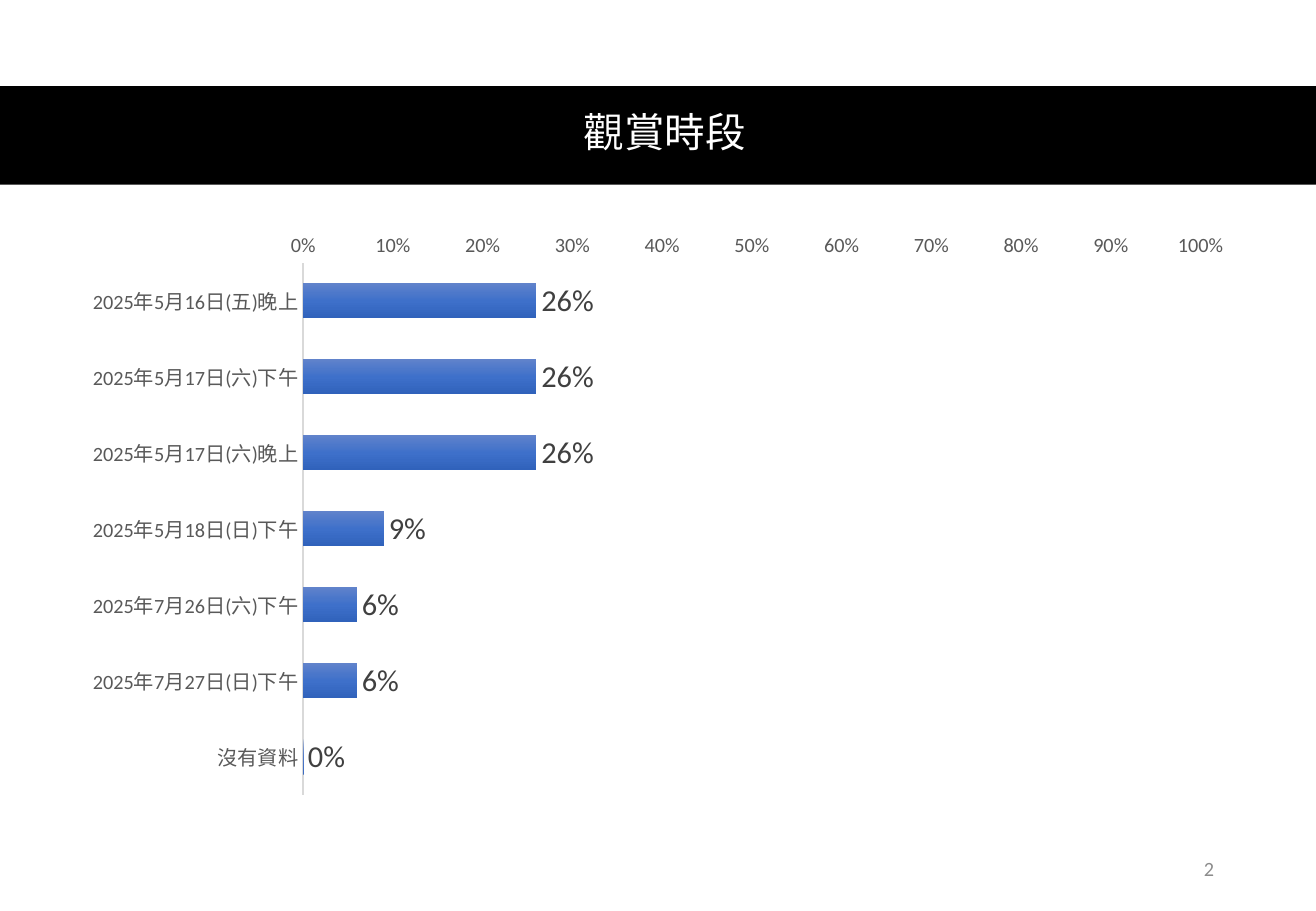
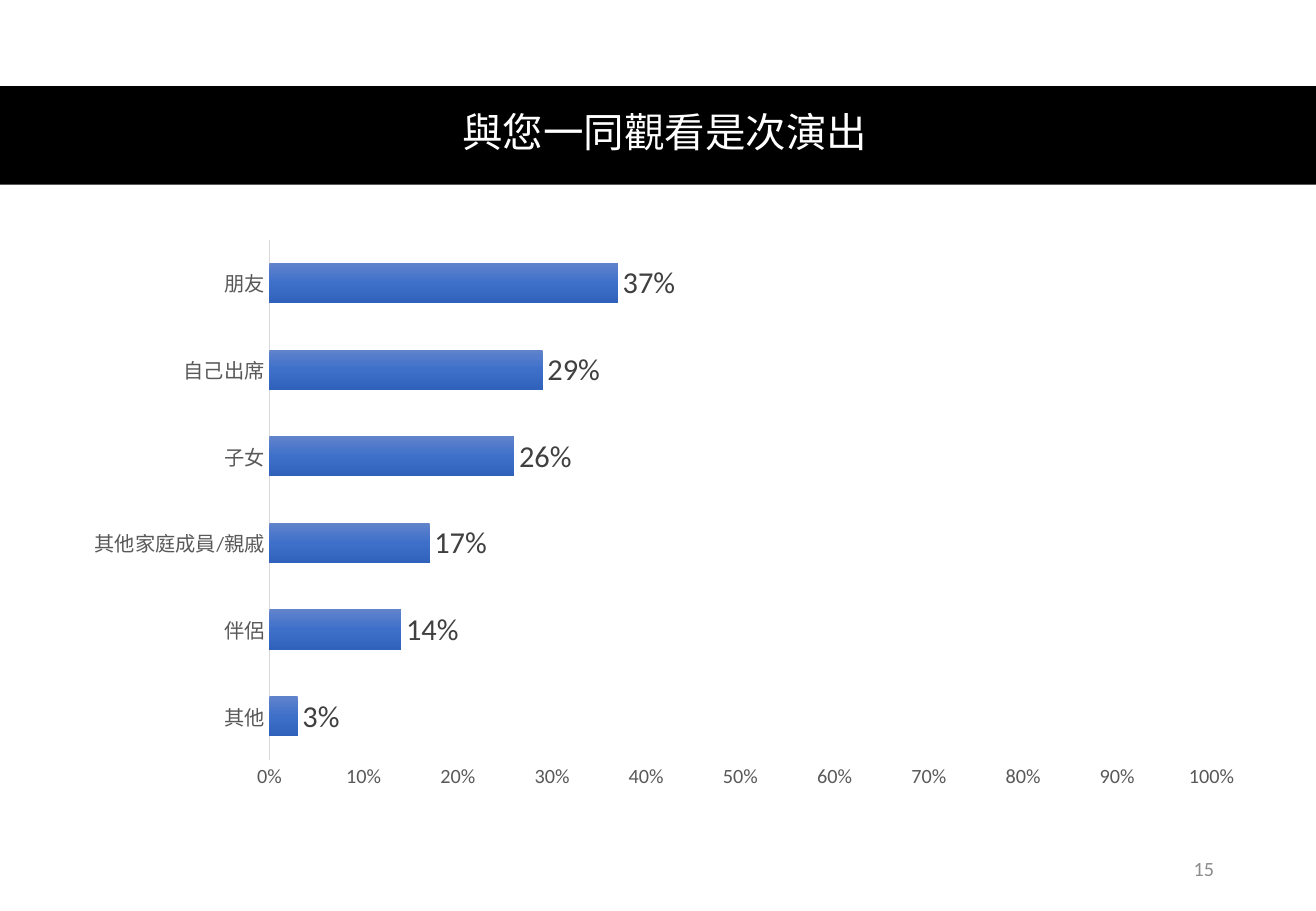
from lxml.etree import SubElement
from pptx import Presentation
from pptx.chart.data import CategoryChartData
from pptx.dml.color import RGBColor
from pptx.enum.chart import XL_CHART_TYPE, XL_LABEL_POSITION, XL_TICK_MARK
from pptx.enum.shapes import MSO_SHAPE
from pptx.enum.text import MSO_ANCHOR, MSO_AUTO_SIZE, PP_ALIGN
from pptx.oxml.ns import qn
from pptx.util import Inches, Pt

SLIDES = [
    {
        "title": "觀賞時段",
        "number": "2",
        "bars": [
            ("2025年5月16日(五)晚上", 0.26),
            ("2025年5月17日(六)下午", 0.26),
            ("2025年5月17日(六)晚上", 0.26),
            ("2025年5月18日(日)下午", 0.09),
            ("2025年7月26日(六)下午", 0.06),
            ("2025年7月27日(日)下午", 0.06),
            ("沒有資料", 0),
        ],
        "reverse": True,
    },
    {
        "title": "與您一同觀看是次演出",
        "number": "15",
        "bars": [
            ("其他", 0.03),
            ("伴侶", 0.14),
            ("其他家庭成員/親戚", 0.17),
            ("子女", 0.26),
            ("自己出席", 0.29),
            ("朋友", 0.37),
        ],
        "plot": {"x": 0.17, "y": 0.03, "w": 0.8, "h": 0.89},
    },
]

# Shared style
WIDTH, HEIGHT = 10.83, 7.5
BAND = (0, 0.71, WIDTH, 0.81)
TITLE = (0.49, 0.7, 9.96, 0.81)
CHART = (0.57, 1.83, 9.69, 4.81)
NUMBER = (7.65, 6.95, 2.44, 0.4)
BLACK, WHITE = "000000", "FFFFFF"
AXIS_TEXT, AXIS_LINE, LABEL_TEXT, NUMBER_TEXT = "595959", "D9D9D9", "404040", "8C8C8C"
BAR_STOPS = [(0, "6183CB"), (50, "3E70CA"), (100, "3062BB")]


def rgb(value):
    return RGBColor.from_string(value)


def box(lengths):
    return [Inches(v) for v in lengths]


def set_font(font, size, color, name="Calibri"):
    font.size, font.name = Pt(size), name
    font.color.rgb = rgb(color)


def write(shape, text, size, color, align, name="Calibri", spacing=None):
    tf = shape.text_frame
    tf.word_wrap = True
    tf.auto_size = MSO_AUTO_SIZE.NONE
    tf.vertical_anchor = MSO_ANCHOR.MIDDLE
    p = tf.paragraphs[0]
    p.alignment, p.line_spacing = align, spacing
    r = p.add_run()
    r.text = text
    set_font(r.font, size, color, name)


def fill_gradient(chart, series):
    fill = series.format.fill
    fill.gradient()
    fill.gradient_angle = 270  # top to bottom
    for stops in chart.element.iter(qn("a:gsLst")):
        for stop in list(stops):
            stops.remove(stop)
        for pos, color in BAR_STOPS:
            stop = SubElement(stops, qn("a:gs"), pos=str(pos * 1000))
            SubElement(stop, qn("a:srgbClr"), val=color)


def place_plot(chart, plot):
    area = next(chart.element.iter(qn("c:plotArea")))
    for old in area.findall(qn("c:layout")):
        area.remove(old)
    layout = SubElement(area, qn("c:layout"))
    area.insert(0, layout)
    manual = SubElement(layout, qn("c:manualLayout"))
    SubElement(manual, qn("c:layoutTarget"), val="inner")
    for side in "xy":
        SubElement(manual, qn(f"c:{side}Mode"), val="edge")
    for key, value in plot.items():
        SubElement(manual, qn(f"c:{key}"), val=str(value))


def add_bars(s, bars, reverse=False, plot=None):
    data = CategoryChartData(number_format="0%")
    data.categories = [name for name, _ in bars]
    data.add_series("Series 1", [value for _, value in bars])
    chart = s.shapes.add_chart(XL_CHART_TYPE.BAR_CLUSTERED, *box(CHART), data).chart
    chart.has_title = chart.has_legend = False
    set_font(chart.font, 10, BLACK)

    # Axes
    cat, val = chart.category_axis, chart.value_axis
    for axis in (cat, val):
        axis.major_tick_mark = axis.minor_tick_mark = XL_TICK_MARK.NONE
        axis.has_major_gridlines = False
        set_font(axis.tick_labels.font, 12, AXIS_TEXT)
    cat.reverse_order = reverse
    cat.format.line.color.rgb = rgb(AXIS_LINE)
    cat.format.line.width = Pt(1)
    val.minimum_scale, val.maximum_scale, val.major_unit = 0, 1, 0.1
    val.tick_labels.number_format = "0%"
    val.tick_labels.number_format_is_linked = False
    val.format.line.fill.background()

    # Bars and their labels
    group = chart.plots[0]
    group.gap_width, group.overlap, group.vary_by_categories = 115, -20, False
    series = group.series[0]
    fill_gradient(chart, series)
    labels = series.data_labels
    labels.show_value = True
    labels.number_format, labels.number_format_is_linked = "0%", False
    labels.position = XL_LABEL_POSITION.OUTSIDE_END
    set_font(labels.font, 18, LABEL_TEXT)
    if plot:
        place_plot(chart, plot)


def add_slide(prs, title, number, **chart):
    s = prs.slides.add_slide(prs.slide_layouts[5])

    # Black band behind the title
    band = s.shapes.add_shape(MSO_SHAPE.RECTANGLE, *box(BAND))
    band.shadow.inherit = False
    band.fill.solid()
    band.fill.fore_color.rgb = rgb(BLACK)
    band.line.fill.background()
    heading = s.shapes.title
    band.element.addnext(heading.element)
    heading.left, heading.top, heading.width, heading.height = box(TITLE)
    write(heading, title, 24, WHITE, PP_ALIGN.CENTER, name="Arial", spacing=0.9)

    add_bars(s, **chart)
    write(s.shapes.add_textbox(*box(NUMBER)), number, 12, NUMBER_TEXT, PP_ALIGN.RIGHT)


def main():
    prs = Presentation()
    prs.slide_width, prs.slide_height = Inches(WIDTH), Inches(HEIGHT)
    for content in SLIDES:
        add_slide(prs, **content)
    prs.save("out.pptx")


if __name__ == "__main__":
    main()
